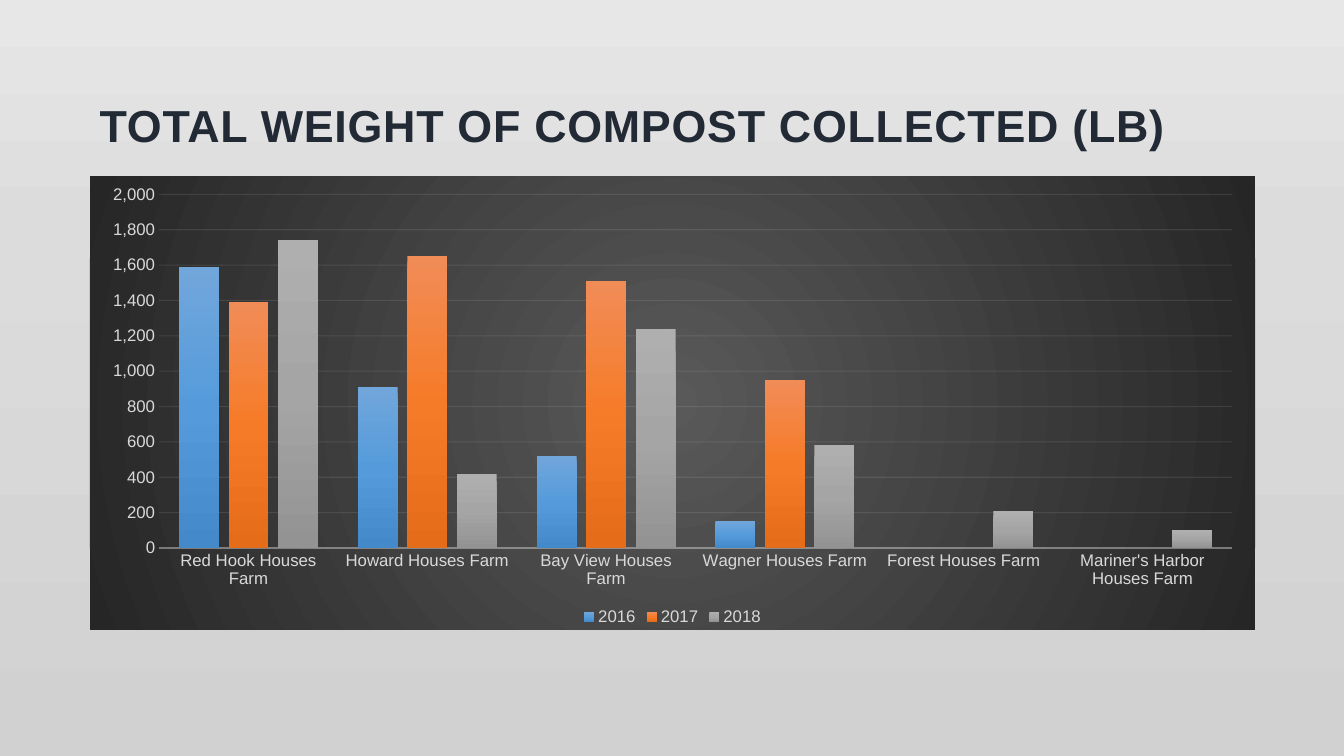
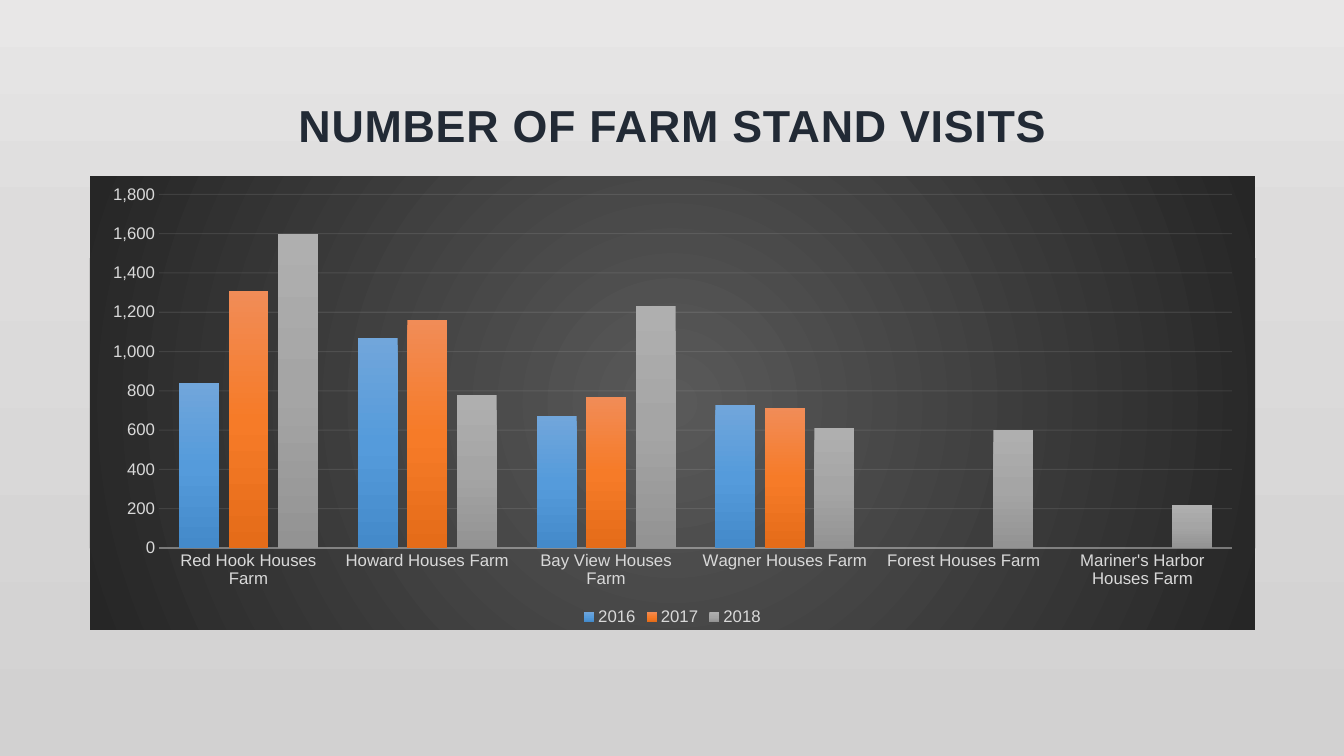
"""Build two slides that compare farm results by year in column charts."""
from pptx import Presentation
from pptx.chart.data import CategoryChartData as Data
from pptx.dml.color import RGBColor as RGB
from pptx.enum.chart import XL_CHART_TYPE as Kind, XL_LEGEND_POSITION as Spot, XL_TICK_MARK as Tick
from pptx.enum.text import MSO_ANCHOR as Anchor, PP_ALIGN as Align
from pptx.oxml import parse_xml
from pptx.oxml.ns import nsdecls, qn
from pptx.util import Inches, Pt

FARMS = ["Red Hook Houses Farm", "Howard Houses Farm", "Bay View Houses Farm",
         "Wagner Houses Farm", "Forest Houses Farm", "Mariner's Harbor Houses Farm"]
SLIDES = [
    {"title": "TOTAL WEIGHT OF COMPOST COLLECTED (LB)", "align": Align.LEFT, "top": 2000,
     "years": {"2016": [1590, 910, 520, 150, None, None],
               "2017": [1390, 1650, 1510, 950, None, None],
               "2018": [1740, 420, 1240, 580, 210, 100]}},
    {"title": "NUMBER OF FARM STAND VISITS", "align": Align.CENTER, "top": 1800,
     "years": {"2016": [840, 1070, 670, 730, None, None],
               "2017": [1310, 1160, 770, 710, None, None],
               "2018": [1600, 780, 1230, 610, 600, 220]}},
]
THEME = {
    "font": "Arial", "head": 32, "label": 12,
    "navy": RGB.from_string("222A35"),
    "pale": RGB.from_string("D9D9D9"),
    "rule": RGB.from_string("F2F2F2"),
    "page": [(0, "E8E7E7"), (31, "DDDCDC"), (100, "D2D1D1")],
    "panel": [(0, "595959"), (100, "262626")],
    "bars": [[(0, "71A6DB"), (50, "559BDB"), (100, "448ACA")],
             [(0, "F18C57"), (50, "F67B28"), (100, "E56C19")],
             [(0, "AFAFAF"), (50, "A5A5A5"), (100, "939393")]],
}
LEFT, WIDTH = Inches(0.89), Inches(11.56)
TITLE = (LEFT, Inches(0.3), WIDTH, Inches(1.25))
CHART = (LEFT, Inches(1.75), WIDTH, Inches(4.5))
LINEAR = '<a:lin ang="5400000" scaled="0"/>'
RADIAL = ('<a:path path="circle"><a:fillToRect l="50000" t="50000" '
          'r="50000" b="50000"/></a:path>')


def put(item, values):
    for name, value in values.items():
        setattr(item, name, value)


def style(font, size, color, bold=False):
    put(font, {"name": THEME["font"], "size": Pt(size), "bold": bold})
    font.color.rgb = color


def blend(stops, course=LINEAR):
    marks = "".join(f'<a:gs pos="{at * 1000}"><a:srgbClr val="{tint}"/></a:gs>'
                    for at, tint in stops)
    return parse_xml(f'<a:gradFill {nsdecls("a")} rotWithShape="1">'
                     f'<a:gsLst>{marks}</a:gsLst>{course}</a:gradFill>')


def paint(fill, owner, stops):
    fill.solid()
    flat = next(owner.iter(qn("a:solidFill")))
    flat.getparent().replace(flat, blend(stops))


def rule(line, owner, width, alpha):
    line.width = Pt(width)
    line.color.rgb = THEME["rule"]
    tint = next(owner.iter(qn("a:srgbClr")))
    tint.append(parse_xml(f'<a:alpha {nsdecls("a")} val="{alpha * 1000}"/>'))


def add_title(slide, item):
    frame = slide.shapes.add_textbox(*TITLE).text_frame
    put(frame, {"word_wrap": True, "vertical_anchor": Anchor.BOTTOM})
    para = frame.paragraphs[0]
    para.alignment = item["align"]
    run = para.add_run()
    run.text = item["title"]
    style(run.font, THEME["head"], THEME["navy"], True)
    run.font._element.set("spc", "50")


def add_panel(chart):
    panel = parse_xml(f'<c:spPr {nsdecls("c", "a")}><a:ln><a:noFill/></a:ln></c:spPr>')
    panel.insert(0, blend(THEME["panel"], RADIAL))
    chart.element.find(qn("c:txPr")).addprevious(panel)


def add_bars(slide, item):
    data = Data(number_format="#,##0")
    data.categories = FARMS
    for year, values in item["years"].items():
        data.add_series(year, values)
    chart = slide.shapes.add_chart(Kind.COLUMN_CLUSTERED, *CHART, data).chart
    put(chart, {"has_title": False, "has_legend": True})
    put(chart.legend, {"position": Spot.BOTTOM, "include_in_layout": False})
    cats, vals = chart.category_axis, chart.value_axis
    for part in (chart, chart.legend, cats.tick_labels, vals.tick_labels):
        style(part.font, THEME["label"], THEME["pale"])
    add_panel(chart)

    for axis in (cats, vals):
        put(axis, {"major_tick_mark": Tick.NONE, "minor_tick_mark": Tick.NONE})
    put(vals, {"minimum_scale": 0, "maximum_scale": item["top"], "major_unit": 200,
               "has_major_gridlines": True})
    put(vals.tick_labels, {"number_format": "#,##0", "number_format_is_linked": False})
    rule(cats.format.line, cats._element, 1, 54)
    rule(vals.major_gridlines.format.line, vals._element, 0.75, 10)
    vals.format.line.fill.background()

    plot = chart.plots[0]
    put(plot, {"gap_width": 100, "overlap": -24, "vary_by_categories": False})
    for bar, stops in zip(plot.series, THEME["bars"]):
        paint(bar.format.fill, bar._element, stops)


def main():
    deck = Presentation()
    put(deck, {"slide_width": Inches(13.33), "slide_height": Inches(7.5)})
    for item in SLIDES:
        slide = deck.slides.add_slide(deck.slide_layouts[6])
        paint(slide.background.fill, slide.element, THEME["page"])
        add_bars(slide, item)
        add_title(slide, item)
    deck.save("out.pptx")


if __name__ == "__main__":
    main()
